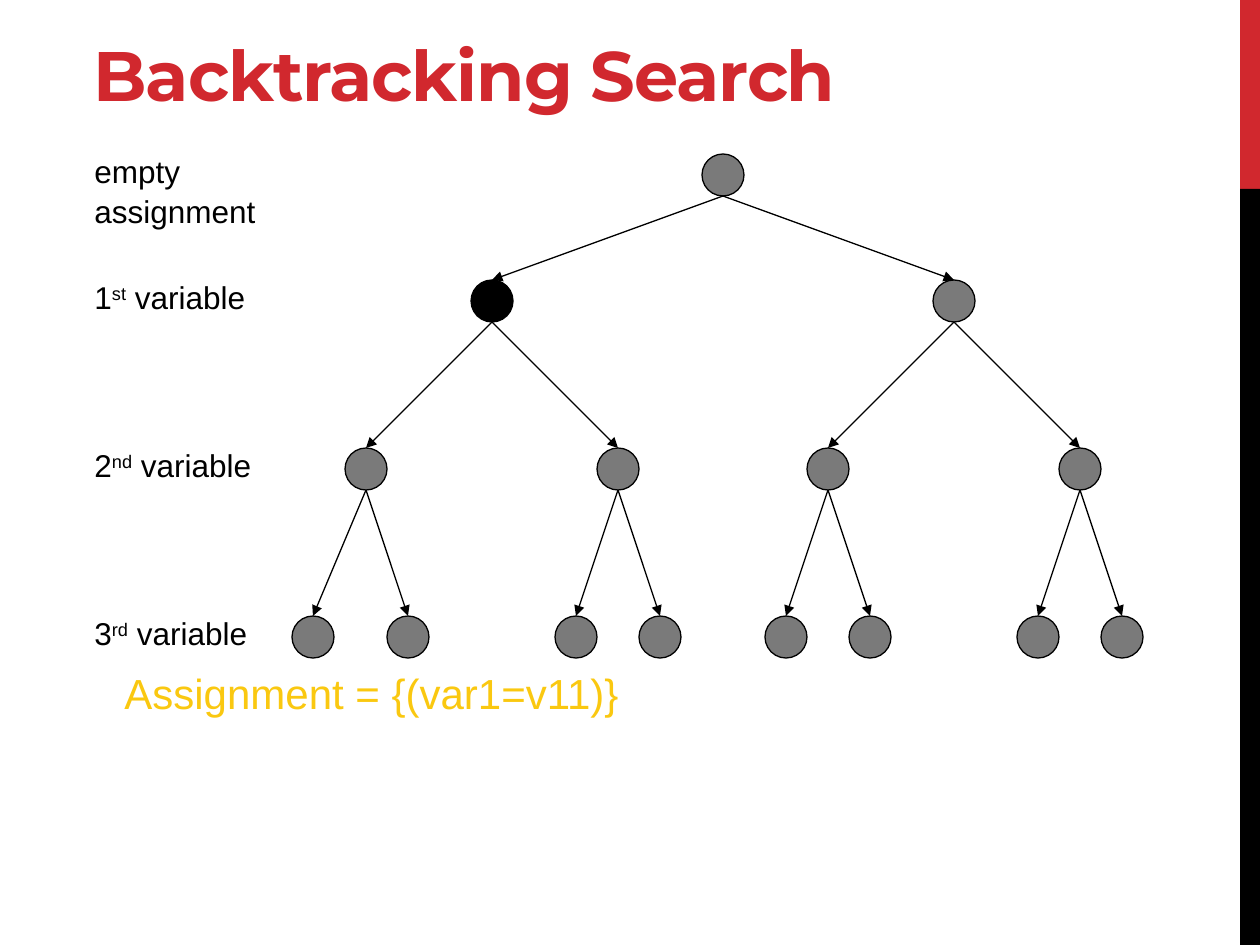
"""Build a slide showing a backtracking search tree with its first variable assigned."""
import pptx
import pptx.dml.color
import pptx.enum.shapes
import pptx.enum.text
import pptx.oxml.ns
import pptx.util
from lxml import etree

SCALE = 914400 / 126
THEME = {
    "red": "D1282E", "black": "000000", "gray": "7A7A7A", "yellow": "FAC810",
    "heading_font": "Montserrat", "body_font": "Arial",
    "title_size": 40, "label_size": 18, "assignment_size": 24, "line_width": 0.75,
}
SHAPES = pptx.enum.shapes.MSO_SHAPE


def emu(*pixels):
    return [round(value * SCALE) for value in pixels]


def add_text(text, box, size, color, font=THEME["body_font"], bold=False, spacing=None,
             line_spacing=1.05, anchor=pptx.enum.text.MSO_ANCHOR.TOP):
    frame = slide.shapes.add_textbox(*emu(*box)).text_frame
    frame.word_wrap = True
    frame.vertical_anchor = anchor
    paragraph = frame.paragraphs[0]
    paragraph.line_spacing = line_spacing
    for index, part in enumerate(text.split("^")):
        run = paragraph.add_run()
        run.text = part
        run.font.name = font
        run.font.size = pptx.util.Pt(size)
        run.font.bold = bold
        run.font.color.rgb = pptx.dml.color.RGBColor.from_string(color)
        if index % 2:
            run.font._element.set("baseline", "30000")
        if spacing is not None:
            run.font._element.set("spc", str(round(spacing * 100)))


deck = pptx.Presentation()
deck.slide_width, deck.slide_height = emu(1260, 945)
slide = deck.slides.add_slide(deck.slide_layouts[6])

for top, height, color in [(0, 189, THEME["red"]), (189, 756, THEME["black"])]:
    side_band = slide.shapes.add_shape(SHAPES.RECTANGLE, *emu(1240, top, 20, height))
    side_band.shadow.inherit = False
    side_band.fill.solid()
    side_band.fill.fore_color.rgb = pptx.dml.color.RGBColor.from_string(color)
    side_band.line.fill.background()

add_text("Backtracking Search", (81, 25, 1142, 97), THEME["title_size"], THEME["red"],
         font=THEME["heading_font"], bold=True, spacing=-0.6, line_spacing=1,
         anchor=pptx.enum.text.MSO_ANCHOR.BOTTOM)

NODE = 42
levels = [
    ("empty assignment", 154, [723]),
    ("1^st^ variable", 280, [492, 954]),
    ("2^nd^ variable", 448, [366, 618, 828, 1080]),
    ("3^rd^ variable", 616, [313, 408, 576, 660, 786, 870, 1038, 1122]),
]
assigned = (492, 280)

for label, top, centers in levels:
    add_text(label, (82, top - 10, 210, 50), THEME["label_size"], THEME["black"])
    for center in centers:
        node = slide.shapes.add_shape(SHAPES.OVAL, *emu(center - NODE / 2, top, NODE, NODE))
        node.shadow.inherit = False
        node.fill.solid()
        node_color = THEME["black"] if (center, top) == assigned else THEME["gray"]
        node.fill.fore_color.rgb = pptx.dml.color.RGBColor.from_string(node_color)
        node.line.color.rgb = pptx.dml.color.RGBColor.from_string(THEME["black"])
        node.line.width = pptx.util.Pt(THEME["line_width"])

for (_, parent_top, parents), (_, child_top, children) in zip(levels, levels[1:]):
    for index, child in enumerate(children):
        branch = slide.shapes.add_connector(
            pptx.enum.shapes.MSO_CONNECTOR.STRAIGHT,
            *emu(parents[index // 2], parent_top + NODE, child, child_top))
        branch.line.color.rgb = pptx.dml.color.RGBColor.from_string(THEME["black"])
        branch.line.width = pptx.util.Pt(THEME["line_width"])
        etree.SubElement(branch.line._get_or_add_ln(), pptx.oxml.ns.qn("a:tailEnd"), type="triangle")
        etree.SubElement(branch._element.spPr, pptx.oxml.ns.qn("a:effectLst"))

add_text("Assignment = {(var1=v11)}", (112, 659, 527, 63), THEME["assignment_size"], THEME["yellow"])

deck.save("out.pptx")
